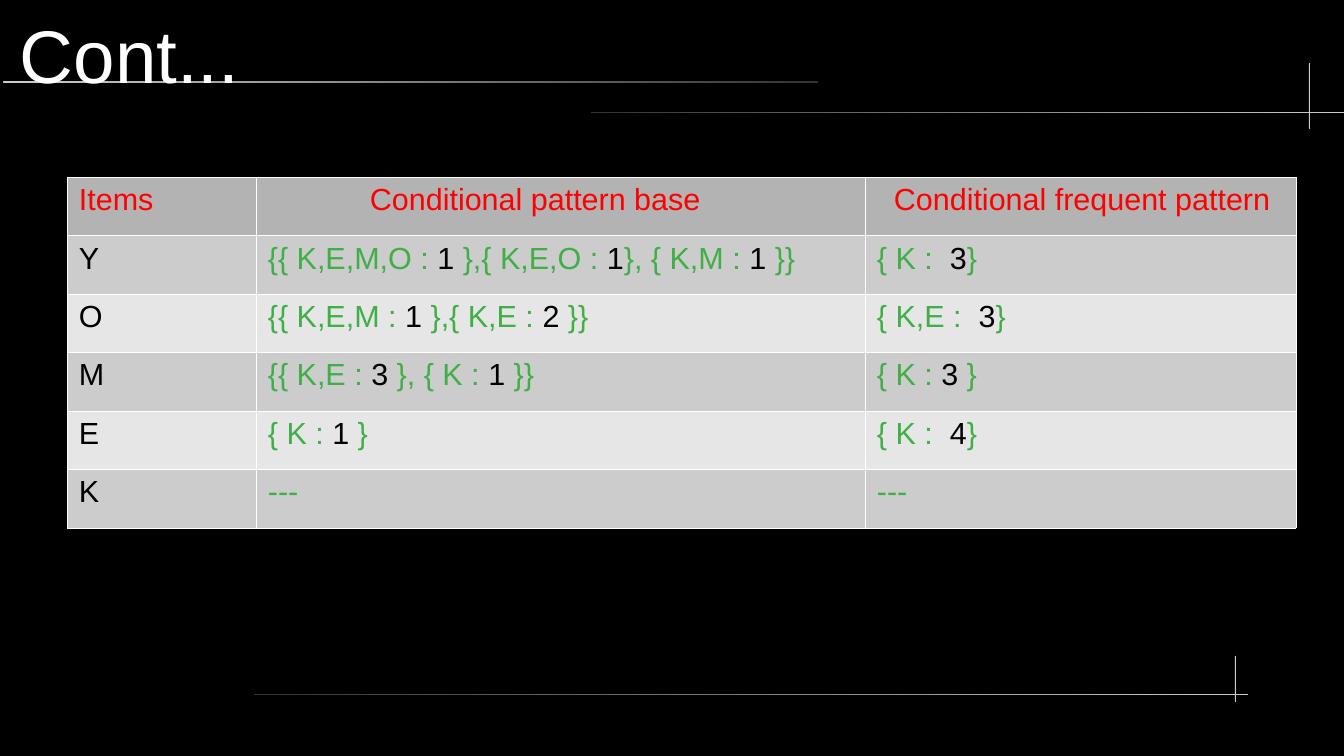
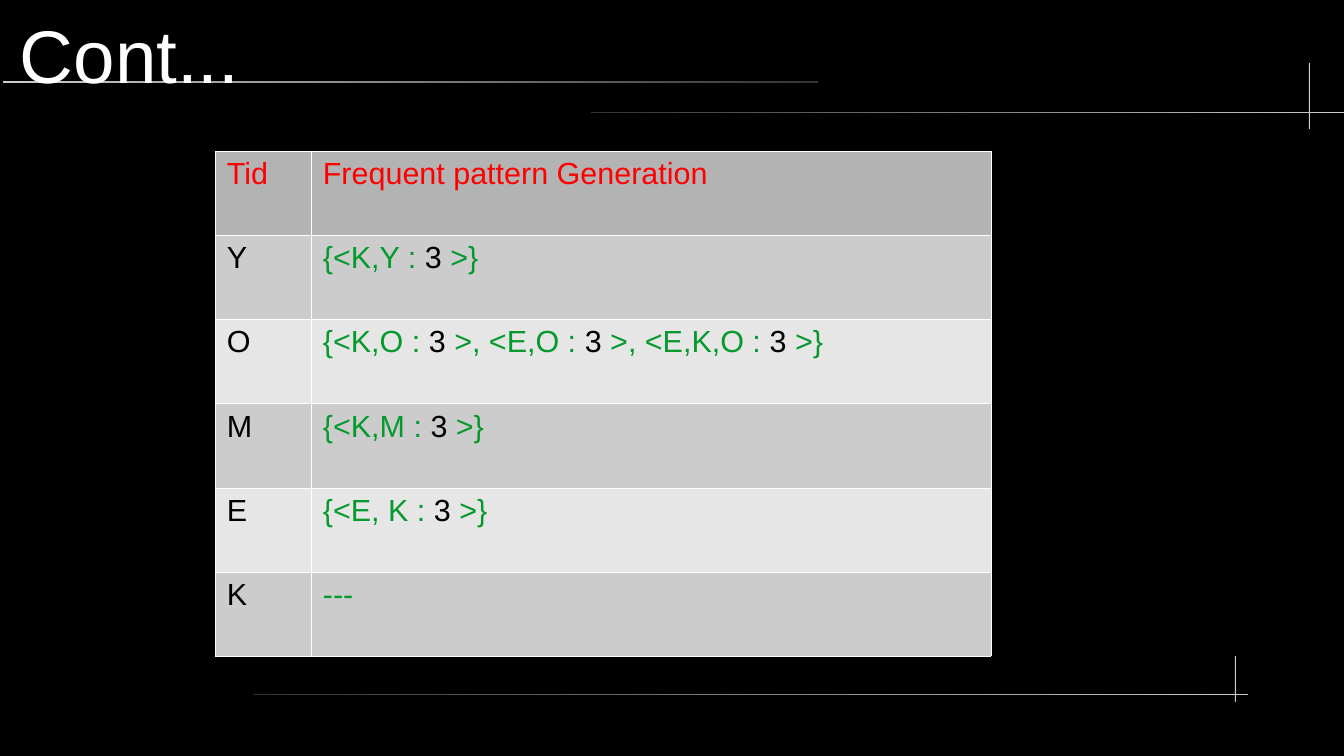
from dataclasses import dataclass
from itertools import groupby

from lxml.etree import SubElement
from pptx import Presentation
from pptx.dml.color import RGBColor as RGB
from pptx.enum.shapes import MSO_SHAPE as Shape
from pptx.enum.text import MSO_ANCHOR as Anchor, MSO_AUTO_SIZE as AutoSize, PP_ALIGN as Align
from pptx.oxml.ns import qn
from pptx.util import Emu, Pt

EMU_PER_PX = 914400 / 122


def px(n: float) -> Emu:
    return Emu(round(n * EMU_PER_PX))


@dataclass(frozen=True)
class Theme:
    font: str = "Arial"
    title_size: int = 44
    cell_size: int = 18
    back: str = "000000"
    title: str = "FFFFFF"
    border: str = "FFFFFF"
    header_text: str = "FF0000"
    text: str = "000000"
    header_fill: str = "B3B3B3"
    bands: tuple[str, str] = ("CCCCCC", "E6E6E6")
    light: str = "CCCCCC"
    dark: str = "333333"


@dataclass(frozen=True)
class Rule:
    left: int
    top: int
    width: int
    height: int
    start: str
    end: str


@dataclass(frozen=True)
class Grid:
    left: int
    top: int
    height: int
    widths: tuple[int, ...]
    indents: tuple[int, ...]  # extra left margin of each heading
    accent: str
    rows: tuple[tuple[str, ...], ...]


THEME = Theme()
TITLE_BOX = (20, 10, 1272, 87)
CELL_MARGIN_X, CELL_MARGIN_Y = 12, 6

RULES = (
    Rule(3, 81, 815, 2, THEME.light, THEME.dark),
    Rule(591, 112, 753, 1, THEME.dark, THEME.light),
    Rule(1309, 63, 1, 66, THEME.light, THEME.light),
    Rule(254, 694, 994, 1, THEME.dark, THEME.light),
    Rule(1235, 656, 1, 46, THEME.light, THEME.light),
)

PATTERN_BASES = Grid(67, 177, 351, (189, 609, 431), (0, 102, 17), "3FAF46", (
    ("Items", "Conditional pattern base", "Conditional frequent pattern"),
    ("Y", "{{ K,E,M,O : 1 },{ K,E,O : 1}, { K,M : 1 }}", "{ K :  3}"),
    ("O", "{{ K,E,M : 1 },{ K,E : 2 }}", "{ K,E :  3}"),
    ("M", "{{ K,E : 3 }, { K : 1 }}", "{ K : 3 }"),
    ("E", "{ K : 1 }", "{ K :  4}"),
    ("K", "---", "---"),
))

FREQUENT_PATTERNS = Grid(215, 151, 505, (96, 680), (0, 0), "069A2E", (
    ("Tid", "Frequent pattern Generation"),
    ("Y", "{<K,Y : 3 >}"),
    ("O", "{<K,O : 3 >, <E,O : 3 >, <E,K,O : 3 >}"),
    ("M", "{<K,M : 3 >}"),
    ("E", "{<E, K : 3 >}"),
    ("K", "---"),
))


def add_run(p, text: str, size: int, color: str) -> None:
    r = p.add_run()
    r.text = text
    r.font.name = THEME.font
    r.font.size = Pt(size)
    r.font.color.rgb = RGB.from_string(color)


def add_rule(s, rule: Rule) -> None:
    sp = s.shapes.add_shape(Shape.ROUNDED_RECTANGLE, px(rule.left), px(rule.top),
                            px(rule.width), px(rule.height))
    sp.adjustments[0] = 0.5
    sp.shadow.inherit = False
    sp.line.fill.background()
    if rule.start == rule.end:
        sp.fill.solid()
        sp.fill.fore_color.rgb = RGB.from_string(rule.start)
        return
    sp.fill.gradient()
    sp.fill.gradient_angle = 0
    for stop, color in zip(sp.fill.gradient_stops, (rule.start, rule.end)):
        stop.color.rgb = RGB.from_string(color)


def set_title(s, text: str) -> None:
    sp = s.shapes.title
    sp.left, sp.top, sp.width, sp.height = map(px, TITLE_BOX)
    tf = sp.text_frame
    tf.margin_left = tf.margin_right = tf.margin_top = tf.margin_bottom = 0
    tf.vertical_anchor = Anchor.MIDDLE
    tf.word_wrap = True
    tf.auto_size = AutoSize.SHAPE_TO_FIT_TEXT
    p = tf.paragraphs[0]
    p.alignment = Align.LEFT
    add_run(p, text, THEME.title_size, THEME.title)
    # Bring the title in front of the rules
    sp.element.getparent().append(sp.element)


def style_cell(cell, fill: str, indent: int) -> None:
    cell.margin_left = px(CELL_MARGIN_X + indent)
    cell.margin_right = px(CELL_MARGIN_X)
    cell.margin_top = cell.margin_bottom = px(CELL_MARGIN_Y)
    # Borders come before the fill in the cell properties
    tc_pr = cell._tc.get_or_add_tcPr()
    for side in ("a:lnL", "a:lnR", "a:lnT", "a:lnB"):
        ln = SubElement(tc_pr, qn(side), w=str(Pt(0.06)))
        SubElement(SubElement(ln, qn("a:solidFill")), qn("a:srgbClr"), val=THEME.border)
    cell.fill.solid()
    cell.fill.fore_color.rgb = RGB.from_string(fill)


def add_grid(s, grid: Grid) -> None:
    table = s.shapes.add_table(len(grid.rows), len(grid.widths), px(grid.left), px(grid.top),
                               px(sum(grid.widths)), px(grid.height)).table
    table.first_row = table.horz_banding = False
    for column, width in zip(table.columns, grid.widths):
        column.width = px(width)
    for i, texts in enumerate(grid.rows):
        table.rows[i].height = px(grid.height / len(grid.rows))
        header = i == 0
        fill = THEME.header_fill if header else THEME.bands[(i - 1) % 2]
        for j, text in enumerate(texts):
            cell = table.cell(i, j)
            style_cell(cell, fill, grid.indents[j] if header else 0)
            p = cell.text_frame.paragraphs[0]
            if header or j == 0:
                add_run(p, text, THEME.cell_size, THEME.header_text if header else THEME.text)
                continue
            # Counts are black, the sets around them take the accent
            for is_count, chars in groupby(text, str.isdigit):
                add_run(p, "".join(chars), THEME.cell_size,
                        THEME.text if is_count else grid.accent)


prs = Presentation()
prs.slide_width, prs.slide_height = px(1344), px(756)

# Shared background
background = prs.slide_master.background.fill
background.solid()
background.fore_color.rgb = RGB.from_string(THEME.back)

# Slides
for grid in (PATTERN_BASES, FREQUENT_PATTERNS):
    s = prs.slides.add_slide(prs.slide_layouts[5])
    for rule in RULES:
        add_rule(s, rule)
    set_title(s, "Cont...")
    add_grid(s, grid)

prs.save("out.pptx")
